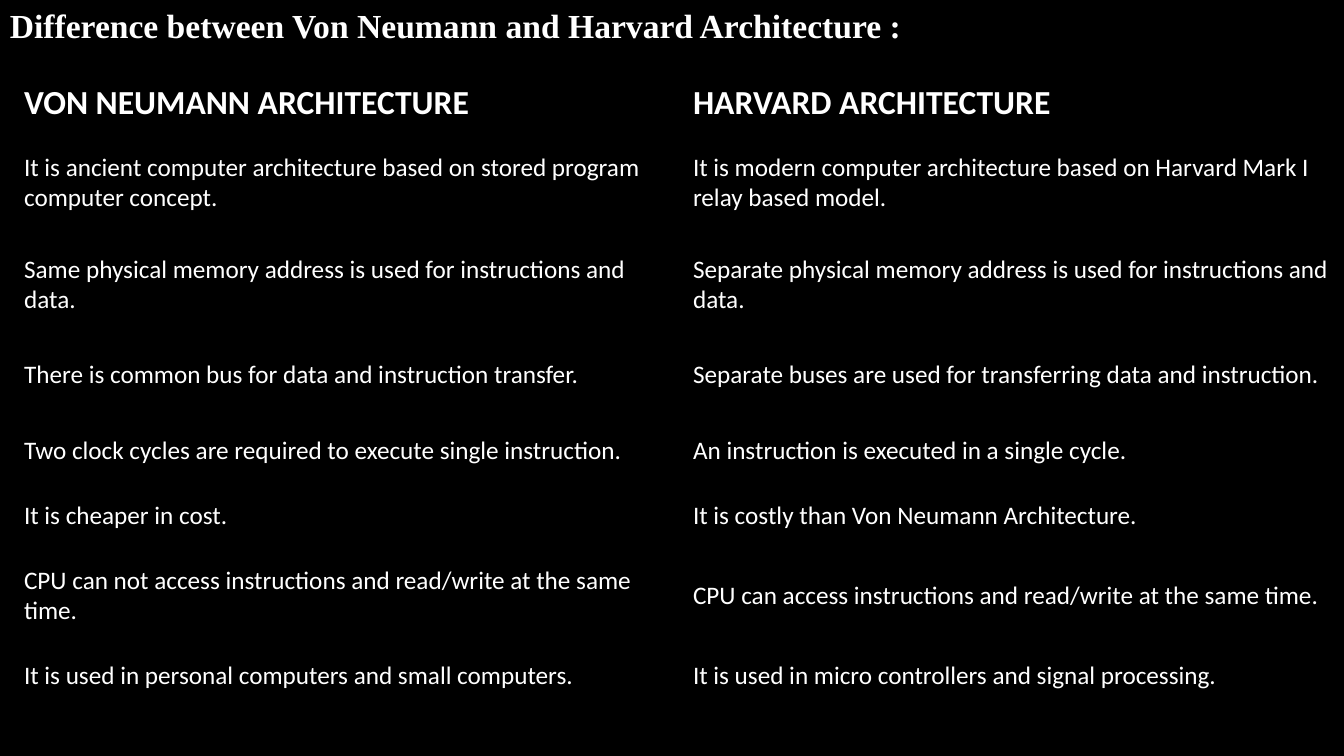
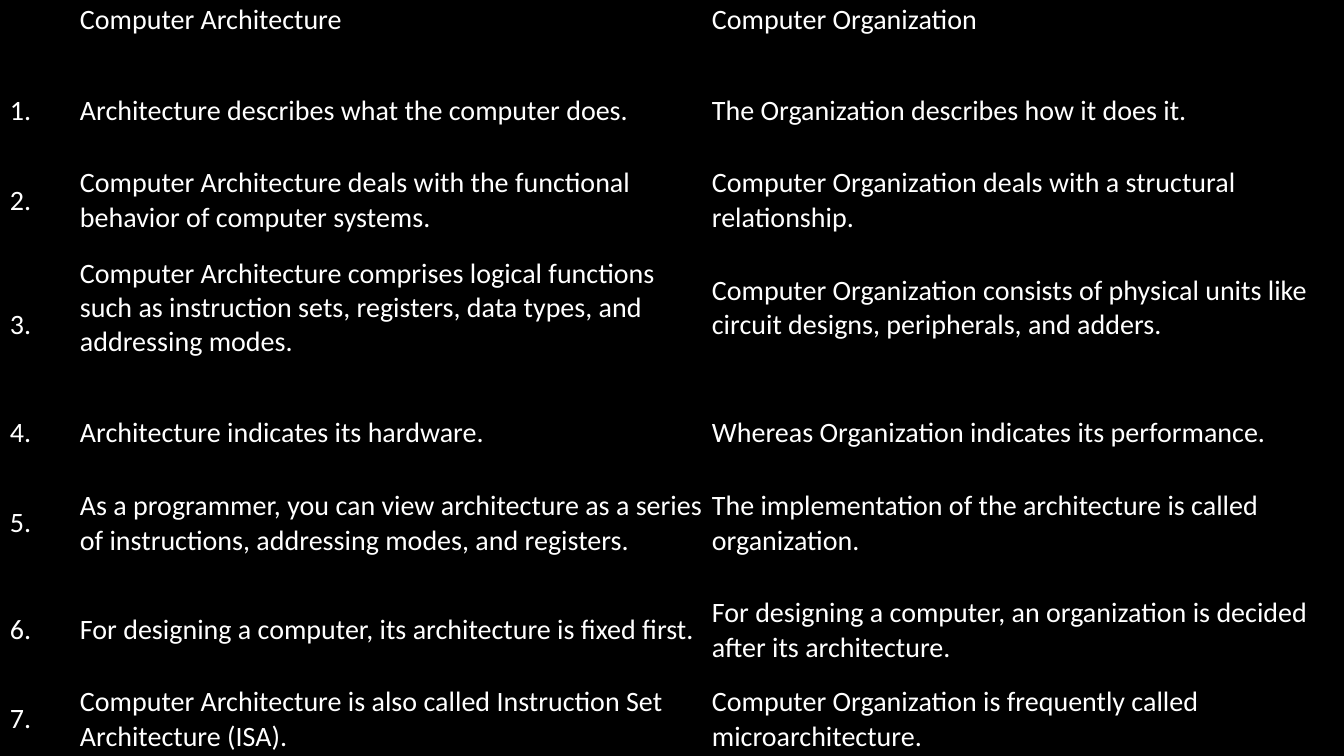
from pptx import Presentation
from pptx.dml.color import RGBColor
from pptx.enum.text import MSO_ANCHOR as Anchor
from pptx.util import Emu, Pt

PX = 914400 / 100.8
WIDE, HIGH = 1344, 756
BACK, INK = "000000", "FFFFFF"
BODY, SERIF = "Calibri", "Times New Roman"
PLAIN = "{2D5ABB26-0587-4C30-8999-92F81FD0307C}"  # table style: no fill, no grid

TITLE = "Difference between Von Neumann and Harvard Architecture :"

MODELS = [
    ("VON NEUMANN ARCHITECTURE", "HARVARD ARCHITECTURE"),
    ("It is ancient computer architecture based on stored program computer concept.",
     "It is modern computer architecture based on Harvard Mark I relay based model."),
    ("Same physical memory address is used for instructions and data.",
     "Separate physical memory address is used for instructions and data."),
    ("There is common bus for data and instruction transfer.",
     "Separate buses are used for transferring data and instruction."),
    ("Two clock cycles are required to execute single instruction.",
     "An instruction is executed in a single cycle."),
    ("It is cheaper in cost.",
     "It is costly than Von Neumann Architecture."),
    ("CPU can not access instructions and read/write at the same time.",
     "CPU can access instructions and read/write at the same time."),
    ("It is used in personal computers and small computers.",
     "It is used in micro controllers and signal processing."),
]

TOPICS = [
    ("Computer Architecture", "Computer Organization"),
    ("Architecture describes what the computer does.",
     "The Organization describes how it does it."),
    ("Computer Architecture deals with the functional behavior of computer systems.",
     "Computer Organization deals with a structural relationship."),
    ("Computer Architecture comprises logical functions such as instruction sets, "
     "registers, data types, and addressing modes.",
     "Computer Organization consists of physical units like circuit designs, "
     "peripherals, and adders."),
    ("Architecture indicates its hardware.",
     "Whereas Organization indicates its performance."),
    ("As a programmer, you can view architecture as a series of instructions, "
     "addressing modes, and registers.",
     "The implementation of the architecture is called organization."),
    ("For designing a computer, its architecture is fixed first.",
     "For designing a computer, an organization is decided after its architecture."),
    ("Computer Architecture is also called Instruction Set Architecture (ISA).",
     "Computer Organization is frequently called microarchitecture."),
]


def px(n):
    return Emu(round(n * PX))


def color(code):
    return RGBColor.from_string(code)


def style(frame, size, bold=False, face=BODY):
    for para in frame.paragraphs:
        for run in para.runs:
            font = run.font
            font.name, font.size, font.bold = face, Pt(size), bold
            font.color.rgb = color(INK)


def add_page(deck):
    page = deck.slides.add_slide(deck.slide_layouts[6])
    fill = page.background.fill
    fill.solid()
    fill.fore_color.rgb = color(BACK)
    return page


def add_grid(page, left, top, cols, rows, data, size):
    """Add an unruled table and return it."""
    grid = page.shapes.add_table(
        len(rows), len(cols), px(left), px(top), px(sum(cols)), px(sum(rows))).table
    grid.first_row = grid.horz_banding = False
    grid._tbl.tblPr[0].text = PLAIN
    for col, width in zip(grid.columns, cols):
        col.width = px(width)
    for row, height, texts in zip(grid.rows, rows, data):
        row.height = px(height)
        for cell, text in zip(row.cells, texts):
            cell.text = text
            cell.fill.background()
            cell.vertical_anchor = Anchor.MIDDLE
            style(cell.text_frame, size)
    return grid


def add_models(deck):
    page = add_page(deck)
    grid = add_grid(page, 14, 74, [669, 669],
                    [58, 102, 102, 78, 73, 58, 102, 58], MODELS, 18)
    for cell in grid.rows[0].cells:
        style(cell.text_frame, 24, True)
    frame = page.shapes.add_textbox(0, 0, px(928), px(50)).text_frame
    frame.word_wrap = True
    frame.vertical_anchor = Anchor.MIDDLE
    frame.text = TITLE
    style(frame, 24, True, SERIF)


def add_topics(deck):
    data = [(f"{n}." if n else "", *pair) for n, pair in enumerate(TOPICS)]
    grid = add_grid(add_page(deck), 7, 0, [70, 632, 636],
                    [74, 74, 105, 144, 72, 109, 105, 73], data, 20)
    for cell in grid.iter_cells():
        cell.margin_left = cell.margin_right = px(3)
        cell.margin_top = cell.margin_bottom = px(2)
    for row in (0, 3):  # these rows keep one line free under the text
        for col in (1, 2):
            grid.cell(row, col).margin_bottom = px(36)


def main():
    deck = Presentation()
    deck.slide_width, deck.slide_height = px(WIDE), px(HIGH)
    add_models(deck)
    add_topics(deck)
    deck.save("out.pptx")


if __name__ == "__main__":
    main()
